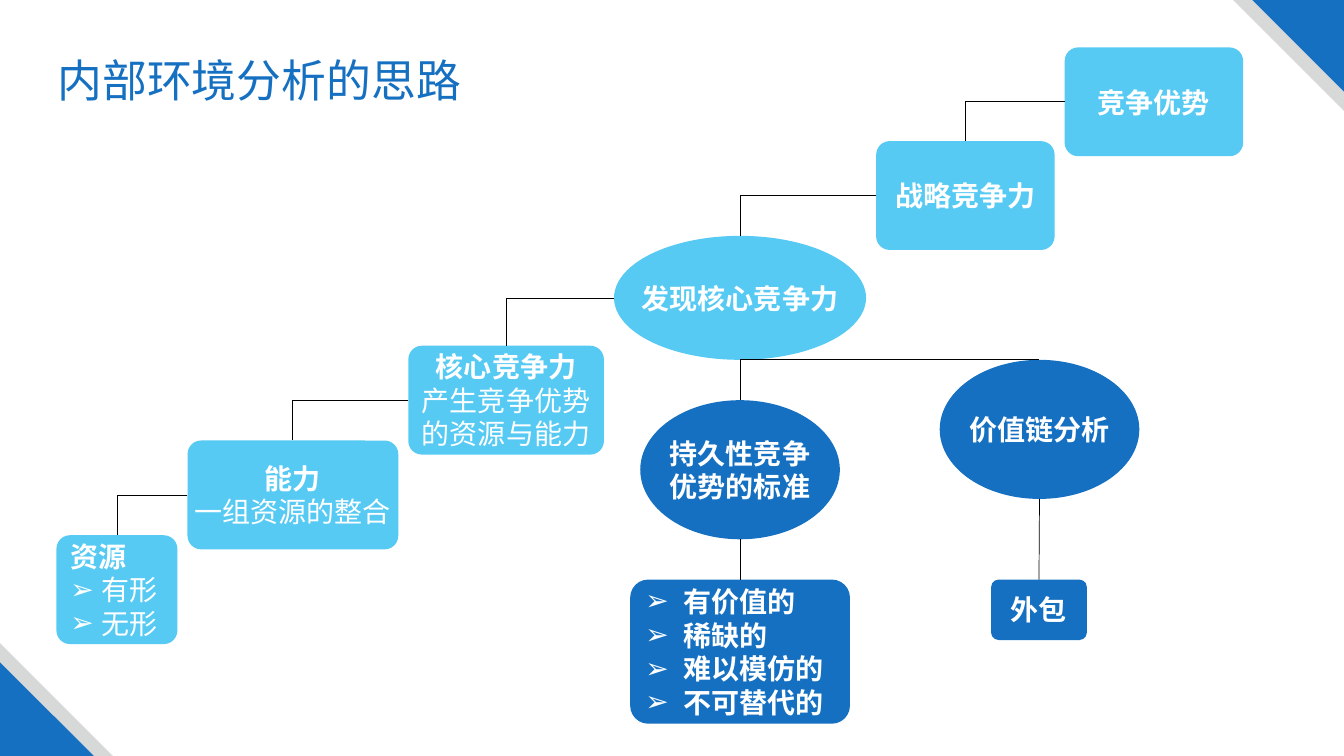
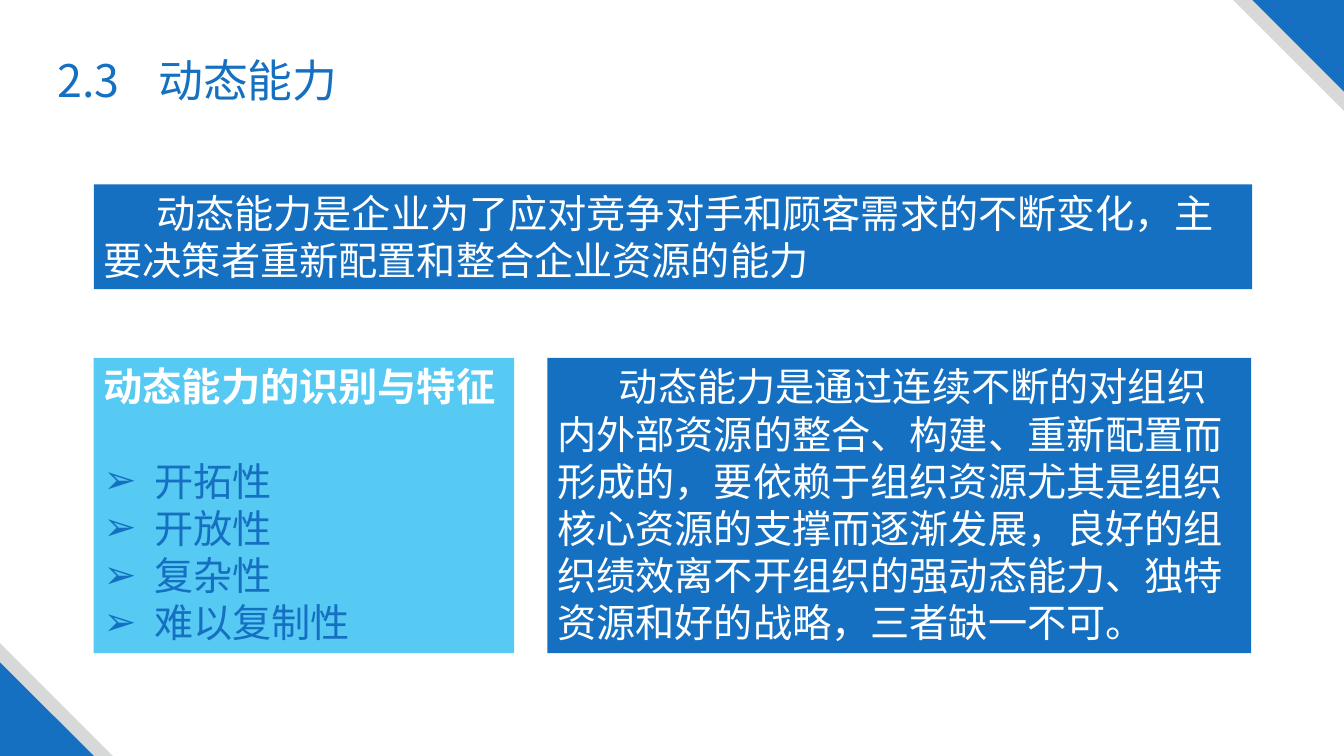
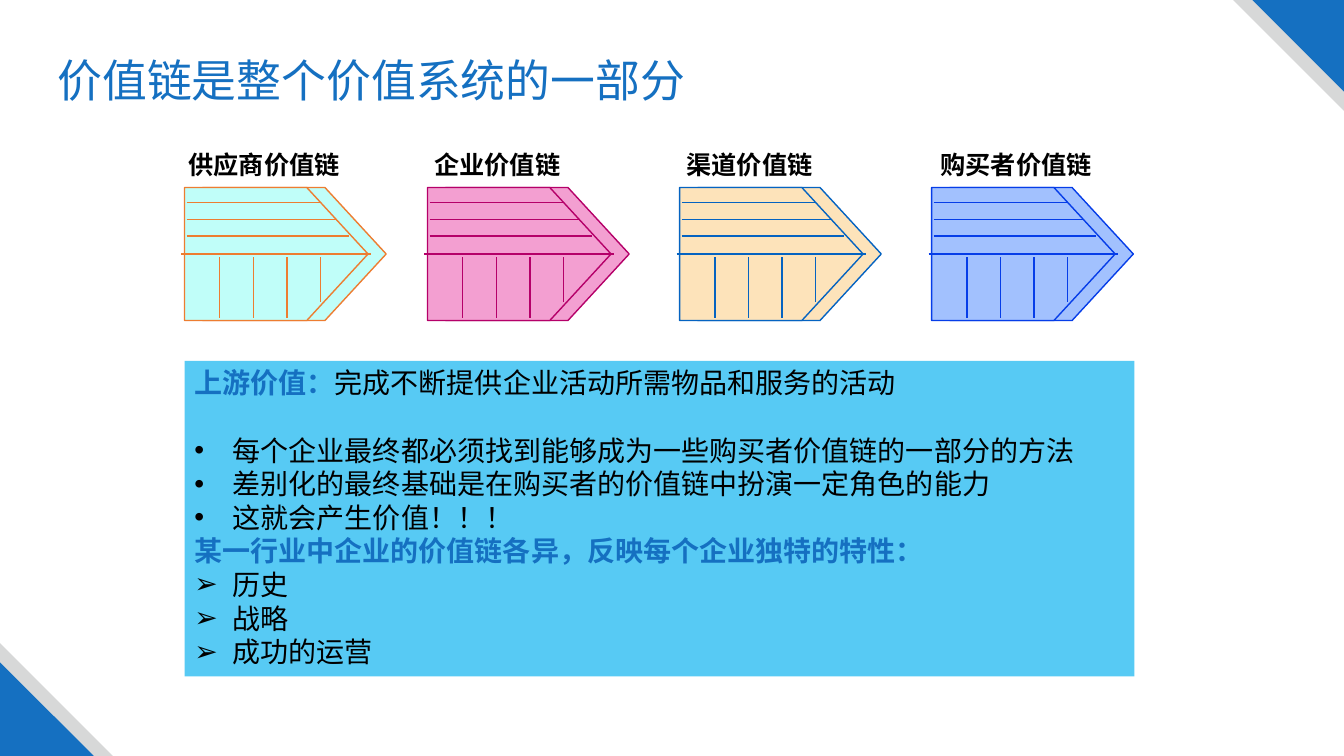
from lxml.etree import SubElement
from pptx import Presentation
from pptx.dml.color import RGBColor
from pptx.enum.shapes import MSO_CONNECTOR as Connector, MSO_SHAPE as Shape
from pptx.enum.text import MSO_ANCHOR as Anchor, PP_ALIGN as Align
from pptx.oxml.ns import qn
from pptx.util import Inches, Pt

FONT = "Noto Sans CJK SC"
COLORS = {
    "blue": "1570C1",
    "sky": "57CAF4",
    "gray": "D7D8D8",
    "white": "FFFFFF",
    "black": "000000",
}
WIDTH, HEIGHT = 13.33, 7.5
ARROW, DOT = "➢", "•"


def color(name):
    return RGBColor.from_string(COLORS.get(name, name))


def write(frame, text, size=20, ink="white", bold=False, align=Align.LEFT,
          bullet=None, indent=0, first_line=0, tab=None, before=0):
    """Add one paragraph; text is a string or a list of (text, ink, bold) runs."""
    paragraph = frame.paragraphs[0]
    if paragraph.runs:
        paragraph = frame.add_paragraph()
    paragraph.alignment = align
    paragraph.space_before = Pt(before)
    properties = paragraph._p.get_or_add_pPr()
    properties.set("marL", str(Inches(indent)))
    properties.set("indent", str(Inches(-indent if bullet else first_line)))
    if bullet:
        SubElement(properties, qn("a:buFont"), typeface="Arial")
        SubElement(properties, qn("a:buChar"), char=bullet)
    else:
        SubElement(properties, qn("a:buNone"))
    if tab:
        tabs = SubElement(properties, qn("a:tabLst"))
        SubElement(tabs, qn("a:tab"), pos=str(Inches(tab)), algn="l")
    runs = [(text, ink, bold)] if isinstance(text, str) else text
    for run_text, run_ink, run_bold in runs:
        run = paragraph.add_run()
        run.text = run_text
        run.font.name = FONT
        run.font.size = Pt(size)
        run.font.bold = run_bold
        run.font.color.rgb = color(run_ink)
        SubElement(run._r.get_or_add_rPr(), qn("a:ea"), typeface=FONT)


def add_shape(slide, kind, left, top, width, height, fill, outline=None, adjust=None):
    shape = slide.shapes.add_shape(
        kind, Inches(left), Inches(top), Inches(width), Inches(height))
    shape.shadow.inherit = False
    shape.fill.solid()
    shape.fill.fore_color.rgb = color(fill)
    if outline:
        shape.line.color.rgb = color(outline)
        shape.line.width = Pt(1)
    else:
        shape.line.fill.background()
    if adjust is not None:
        shape.adjustments[0] = adjust
    return shape


def add_node(slide, kind, left, top, width, height, fill):
    """Add a diagram box whose text stays centred in height and unwrapped."""
    node = add_shape(slide, kind, left, top, width, height, fill,
                     adjust=0.125 if kind == Shape.ROUNDED_RECTANGLE else None)
    node.text_frame.word_wrap = False
    node.text_frame.vertical_anchor = Anchor.MIDDLE
    return node


def add_panel(slide, left, top, width, height, fill):
    panel = add_shape(slide, Shape.RECTANGLE, left, top, width, height, fill)
    panel.text_frame.word_wrap = True
    panel.text_frame.vertical_anchor = Anchor.TOP
    return panel.text_frame


def add_line(slide, start, end, ink="black", weight=0.5, kind=Connector.STRAIGHT):
    """Draw a connector between two points given in EMU."""
    line = slide.shapes.add_connector(kind, *map(int, start + end))
    line.line.color.rgb = color(ink)
    line.line.width = Pt(weight)
    SubElement(line._element.spPr, qn("a:effectLst"))
    return line


def top_of(shape):
    return shape.left + shape.width // 2, shape.top


def bottom_of(shape):
    return shape.left + shape.width // 2, shape.top + shape.height


def left_of(shape):
    return shape.left, shape.top + shape.height // 2


def is_box(shape):
    return shape.auto_shape_type == Shape.ROUNDED_RECTANGLE


def add_step(slide, lower, upper):
    """Draw a one-bend connector from the upper node's left to the lower node's top."""
    step = add_line(slide, left_of(upper), top_of(lower), kind=Connector.ELBOW)
    step._element.spPr.find(qn("a:prstGeom")).set("prst", "bentConnector2")
    if is_box(upper):
        step.begin_connect(upper, 1)
    if is_box(lower):
        step.end_connect(lower, 0)


def add_drop(slide, upper, lower):
    drop = add_line(slide, bottom_of(upper), top_of(lower))
    if is_box(lower):
        drop.end_connect(lower, 0)


def add_slide(presentation, title_text, title_width, tab=None):
    """Add a slide with its corner triangles and title."""
    slide = presentation.slides.add_slide(presentation.slide_layouts[5])
    for size, fill in ((1.1, "gray"), (0.91, "blue")):
        corner = add_shape(slide, Shape.RIGHT_TRIANGLE, WIDTH - size, 0, size, size, fill)
        corner.rotation = 180
    for size, fill in ((1.12, "gray"), (0.93, "blue")):
        add_shape(slide, Shape.RIGHT_TRIANGLE, 0, HEIGHT - size, size, size, fill)
    title = slide.shapes.title
    title.left, title.top = Inches(0.47), Inches(0.47)
    title.width, title.height = Inches(title_width), Inches(0.64)
    title.text_frame.word_wrap = True
    title.text_frame.vertical_anchor = Anchor.TOP
    write(title.text_frame, title_text, size=32, ink="blue", tab=tab)
    return slide


def build_analysis_slide(presentation):
    slide = add_slide(presentation, "内部环境分析的思路", 10.51)
    box, oval = Shape.ROUNDED_RECTANGLE, Shape.OVAL
    resources = add_node(slide, box, 0.56, 5.31, 1.2, 1.08, "sky")
    write(resources.text_frame, "资源", bold=True)
    for text in ("有形", "无形"):
        write(resources.text_frame, text, bullet=ARROW, indent=0.31)

    stairs = [resources]
    for kind, left, top, width, height, heading, details in (
        (box, 1.86, 4.37, 2.09, 1.08, "能力", ["一组资源的整合"]),
        (box, 4.05, 3.43, 1.94, 1.08, "核心竞争力", ["产生竞争优势", "的资源与能力"]),
        (oval, 6.09, 2.34, 2.5, 1.23, "发现核心竞争力", []),
        (box, 8.69, 1.4, 1.77, 1.08, "战略竞争力", []),
        (box, 10.56, 0.47, 1.77, 1.08, "竞争优势", []),
    ):
        node = add_node(slide, kind, left, top, width, height, "sky")
        write(node.text_frame, heading, bold=True, align=Align.CENTER)
        for text in details:
            write(node.text_frame, text, align=Align.CENTER)
        stairs.append(node)
    for lower, upper in zip(stairs, stairs[1:]):
        add_step(slide, lower, upper)

    branches = []
    for kind, left, top, width, height, lines in (
        (oval, 6.35, 3.97, 1.98, 1.38, ["持久性竞争", "优势的标准"]),
        (oval, 9.32, 3.57, 1.98, 1.38, ["价值链分析"]),
        (box, 9.83, 5.75, 0.95, 0.6, ["外包"]),
    ):
        node = add_node(slide, kind, left, top, width, height, "blue")
        for text in lines:
            write(node.text_frame, text, bold=True, align=Align.CENTER)
        branches.append(node)
    standards, value_chain, outsourcing = branches
    criteria = add_node(slide, box, 6.25, 5.75, 2.18, 1.43, "blue")
    for text in ("有价值的", "稀缺的", "难以模仿的", "不可替代的"):
        write(criteria.text_frame, text, bold=True, bullet=ARROW, indent=0.38)

    discovery = stairs[3]
    for upper, lower in ((discovery, standards), (discovery, value_chain),
                         (standards, criteria), (value_chain, outsourcing)):
        add_drop(slide, upper, lower)


def build_capability_slide(presentation):
    slide = add_slide(presentation, "2.3\t动态能力", 5.92, tab=0.91)
    definition = add_panel(slide, 0.93, 1.83, 11.49, 1.04, "blue")
    write(definition, "动态能力是企业为了应对竞争对手和顾客需求的不断变化，"
          "主要决策者重新配置和整合企业资源的能力", size=28, first_line=0.52)
    features = add_panel(slide, 0.93, 3.55, 4.17, 2.93, "sky")
    write(features, "动态能力的识别与特征", size=28, bold=True)
    for index, text in enumerate(("开拓性", "开放性", "复杂性", "难以复制性")):
        write(features, text, size=28, ink="blue", bullet=ARROW, indent=0.5,
              before=0 if index else 33.6)
    explanation = add_panel(slide, 5.43, 3.55, 6.98, 2.93, "blue")
    write(explanation, "动态能力是通过连续不断的对组织内外部资源的整合、构建、重新配置而形成的，"
          "要依赖于组织资源尤其是组织核心资源的支撑而逐渐发展，"
          "良好的组织绩效离不开组织的强动态能力、独特资源和好的战略，三者缺一不可。",
          size=28, first_line=0.61)


def add_value_chain(slide, left, label, label_left, label_width, fill, ink):
    for offset in (0.18, 0):
        add_shape(slide, Shape.PENTAGON, left + offset, 1.86, 1.82, 1.32, fill, ink, 0.46)
    rows = [(0.02, 1.34, 2.01), (0.02, 1.5, 2.18), (0.02, 1.63, 2.34), (-0.03, 1.85, 2.52)]
    segments = [((start, y), (end, y)) for start, end, y in rows]
    for index in range(4):
        x = 0.35 + index / 3
        segments.append(((x, 2.55), (x, 3 if index == 3 else 3.15)))
    for start, end in segments:
        points = [(Inches(left + x), Inches(y)) for x, y in (start, end)]
        add_line(slide, *points, ink=ink, weight=1)
    caption = slide.shapes.add_textbox(
        Inches(label_left), Inches(1.43), Inches(label_width), Inches(0.4))
    caption.text_frame.word_wrap = False
    write(caption.text_frame, label, size=18, ink="black", bold=True)


def build_value_system_slide(presentation):
    slide = add_slide(presentation, "价值链是整个价值系统的一部分", 6.88)
    for chain in (
        (1.83, "供应商价值链", 1.77, 1.72, "C0FEF9", "ED7D31"),
        (4.24, "企业价值链", 4.21, 1.46, "F39FD1", "B50069"),
        (6.74, "渠道价值链", 6.71, 1.46, "FDE3BA", "0563C1"),
        (9.24, "购买者价值链", 9.23, 1.71, "A2C1FE", "063DE8"),
    ):
        add_value_chain(slide, *chain)
    notes = add_panel(slide, 1.83, 3.58, 9.42, 3.13, "sky")
    write(notes, [("上游价值：", "blue", True),
                  ("完成不断提供企业活动所需物品和服务的活动", "black", False)])
    for index, text in enumerate((
        "每个企业最终都必须找到能够成为一些购买者价值链的一部分的方法",
        "差别化的最终基础是在购买者的价值链中扮演一定角色的能力",
        "这就会产生价值！！！",
    )):
        write(notes, text, ink="black", bullet=DOT, indent=0.38, before=0 if index else 24)
    write(notes, "某一行业中企业的价值链各异，反映每个企业独特的特性：", ink="blue", bold=True)
    for text in ("历史", "战略", "成功的运营"):
        write(notes, text, ink="black", bullet=ARROW, indent=0.38)


def main():
    presentation = Presentation()
    presentation.slide_width, presentation.slide_height = Inches(WIDTH), Inches(HEIGHT)
    build_analysis_slide(presentation)
    build_capability_slide(presentation)
    build_value_system_slide(presentation)
    presentation.save("out.pptx")


if __name__ == "__main__":
    main()
